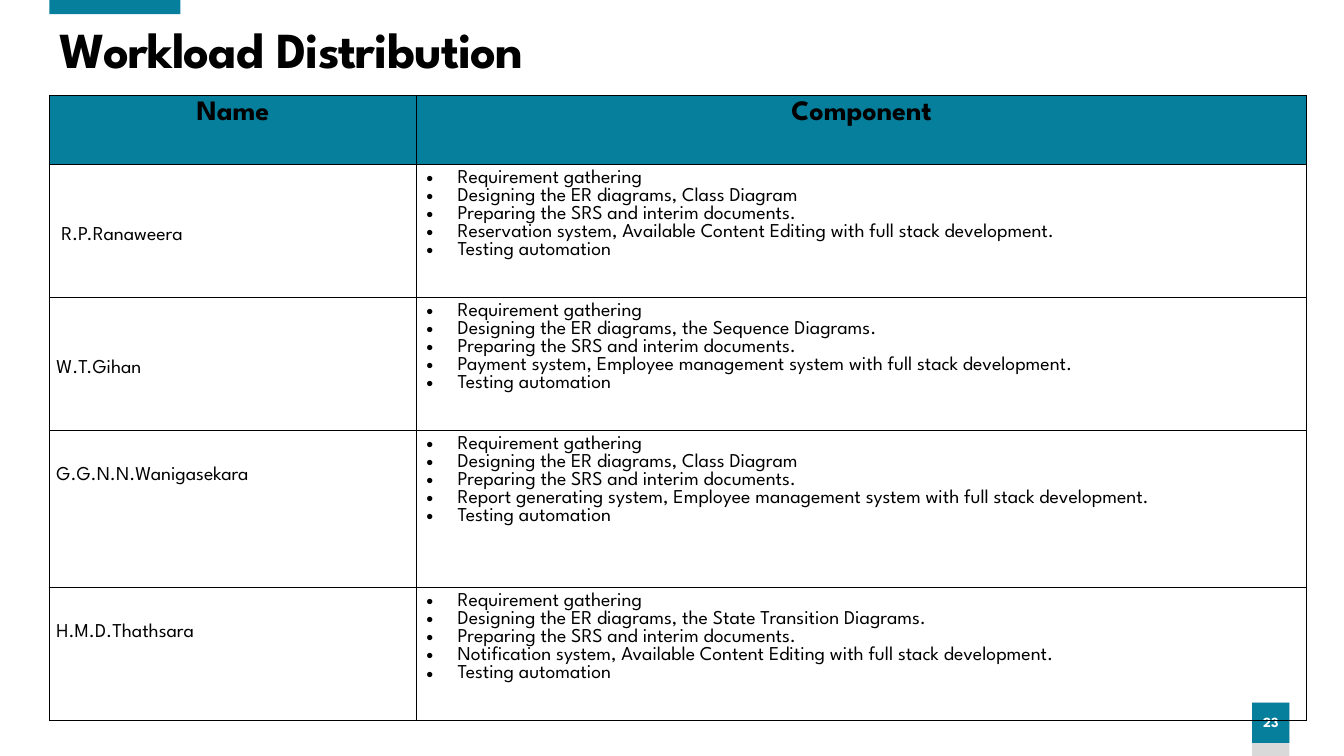
"""Build the workload distribution slide."""
from dataclasses import dataclass

import lxml.etree
import pptx
import pptx.dml.color
import pptx.enum.shapes
import pptx.enum.text
import pptx.oxml.ns
import pptx.util

Inches = pptx.util.Inches
ALIGN = pptx.enum.text.PP_ALIGN
ANCHOR = pptx.enum.text.MSO_ANCHOR


@dataclass(frozen=True)
class Theme:
    font: str = "League Spartan"
    teal: str = "067F9C"
    grey: str = "D9D9D9"
    ink: str = "000000"
    paper: str = "FFFFFF"
    title: int = 36
    header: int = 20
    body: int = 14
    number: int = 10


@dataclass(frozen=True)
class Block:
    left: float
    top: float
    width: float
    height: float
    color: str


@dataclass(frozen=True)
class Member:
    name: str
    diagrams: str
    system: str
    height: float = 1.32
    centred: bool = True

    def tasks(self) -> list[str]:
        return [
            "Requirement gathering",
            f"Designing the ER diagrams, {self.diagrams}",
            "Preparing the SRS and interim documents.",
            f"{self.system} with full stack development.",
            "Testing automation",
        ]


THEME = Theme()
NUMBER_BLOCK = Block(12.42, 6.97, 0.37, 0.4, THEME.teal)
BLOCKS = [
    Block(12.42, 6.97, 0.37, 0.53, THEME.grey),
    Block(0.49, 0, 1.3, 0.14, THEME.teal),
]
HEADINGS = ["Name", "Component"]
COLUMN_WIDTHS = [3.64, 8.83]
HEADER_HEIGHT = 0.68
MEMBERS = [
    Member(" R.P.Ranaweera", "Class Diagram", "Reservation system, Available Content Editing"),
    Member("W.T.Gihan", "the Sequence Diagrams.", "Payment system, Employee management system"),
    Member("G.G.N.N.Wanigasekara", "Class Diagram",
           "Report generating system, Employee management system", 1.56, False),
    Member("H.M.D.Thathsara", "the State Transition Diagrams.",
           "Notification system, Available Content Editing", centred=False),
]


def add_xml(parent, tag: str, **attributes: str):
    return lxml.etree.SubElement(parent, pptx.oxml.ns.qn(tag), attributes)


def write(frame, text: str | list[str], *, size: int, color: str = THEME.ink, bold: bool = False,
          align=ALIGN.LEFT, line_spacing: float = 1.0, bullet: bool = False,
          tracking: int = 0) -> None:
    lines = [text] if isinstance(text, str) else text
    for index, line in enumerate(lines):
        paragraph = frame.add_paragraph() if index else frame.paragraphs[0]
        paragraph.alignment = align
        paragraph.line_spacing = line_spacing
        paragraph.space_before = pptx.util.Pt(0)
        if bullet:
            properties = paragraph._p.get_or_add_pPr()
            properties.set("marL", str(Inches(0.31)))
            properties.set("indent", str(Inches(-0.31)))
            add_xml(properties, "a:buFont", typeface="Arial")
            add_xml(properties, "a:buChar", char="•")
        run = paragraph.add_run()
        run.text = line
        run.font.name = THEME.font
        run.font.size = pptx.util.Pt(size)
        run.font.bold = bold
        run.font.color.rgb = pptx.dml.color.RGBColor.from_string(color)
        if tracking:
            run._r.get_or_add_rPr().set("spc", str(tracking))


def add_block(slide, block: Block):
    shape = slide.shapes.add_shape(
        pptx.enum.shapes.MSO_SHAPE.RECTANGLE, Inches(block.left), Inches(block.top),
        Inches(block.width), Inches(block.height))
    shape.shadow.inherit = False
    shape.fill.solid()
    shape.fill.fore_color.rgb = pptx.dml.color.RGBColor.from_string(block.color)
    shape.line.fill.background()
    return shape


def add_page_number(slide, number: str) -> None:
    frame = add_block(slide, NUMBER_BLOCK).text_frame
    frame.margin_left = frame.margin_right = 0
    frame.vertical_anchor = ANCHOR.MIDDLE
    write(frame, number, size=THEME.number, color=THEME.paper, bold=True,
          align=ALIGN.CENTER, line_spacing=0.9)


def add_title(slide, text: str) -> None:
    title = slide.shapes.title
    title.left, title.top = Inches(0.49), Inches(0.19)
    title.width, title.height = Inches(12.22), Inches(0.65)
    title.text_frame.auto_size = pptx.enum.text.MSO_AUTO_SIZE.NONE
    title.text_frame.vertical_anchor = ANCHOR.MIDDLE
    write(title.text_frame, text, size=THEME.title, bold=True, line_spacing=0.9, tracking=-60)


def style_cell(cell, fill: str | None = None) -> None:
    properties = cell._tc.get_or_add_tcPr()
    for side in ("a:lnL", "a:lnR", "a:lnT", "a:lnB"):
        border = add_xml(properties, side, w=str(pptx.util.Pt(1)))
        add_xml(add_xml(border, "a:solidFill"), "a:srgbClr", val=THEME.ink)
    if fill:
        cell.fill.solid()
        cell.fill.fore_color.rgb = pptx.dml.color.RGBColor.from_string(fill)
    else:
        cell.fill.background()


def write_name(cell, member: Member) -> None:
    cell.margin_left = cell.margin_right = Inches(0.07)
    cell.margin_top = Inches(0 if member.centred else 0.27)
    cell.margin_bottom = 0
    cell.vertical_anchor = ANCHOR.MIDDLE if member.centred else ANCHOR.TOP
    write(cell.text_frame, member.name, size=THEME.body, align=ALIGN.JUSTIFY, line_spacing=1.5)


def add_workload_table(slide) -> None:
    heights = [HEADER_HEIGHT] + [member.height for member in MEMBERS]
    workload = slide.shapes.add_table(
        len(heights), len(HEADINGS), Inches(0.49), Inches(0.95),
        Inches(sum(COLUMN_WIDTHS)), Inches(sum(heights))).table
    workload.first_row = workload.horz_banding = False
    for column, width in zip(workload.columns, COLUMN_WIDTHS):
        column.width = Inches(width)
    for row, height in zip(workload.rows, heights):
        row.height = Inches(height)
    for index, heading in enumerate(HEADINGS):
        heading_cell = workload.cell(0, index)
        style_cell(heading_cell, THEME.teal)
        write(heading_cell.text_frame, heading, size=THEME.header, bold=True, align=ALIGN.CENTER)
    for index, member in enumerate(MEMBERS, start=1):
        name_cell, component_cell = workload.cell(index, 0), workload.cell(index, 1)
        style_cell(name_cell)
        style_cell(component_cell)
        write_name(name_cell, member)
        write(component_cell.text_frame, member.tasks(), size=THEME.body, bullet=True)


def main() -> None:
    deck = pptx.Presentation()
    deck.slide_width, deck.slide_height = Inches(13.33), Inches(7.5)
    slide = deck.slides.add_slide(deck.slide_layouts[5])
    for block in BLOCKS:
        add_block(slide, block)
    add_page_number(slide, "23")
    add_title(slide, "Workload Distribution")
    add_workload_table(slide)
    deck.save("out.pptx")


if __name__ == "__main__":
    main()
